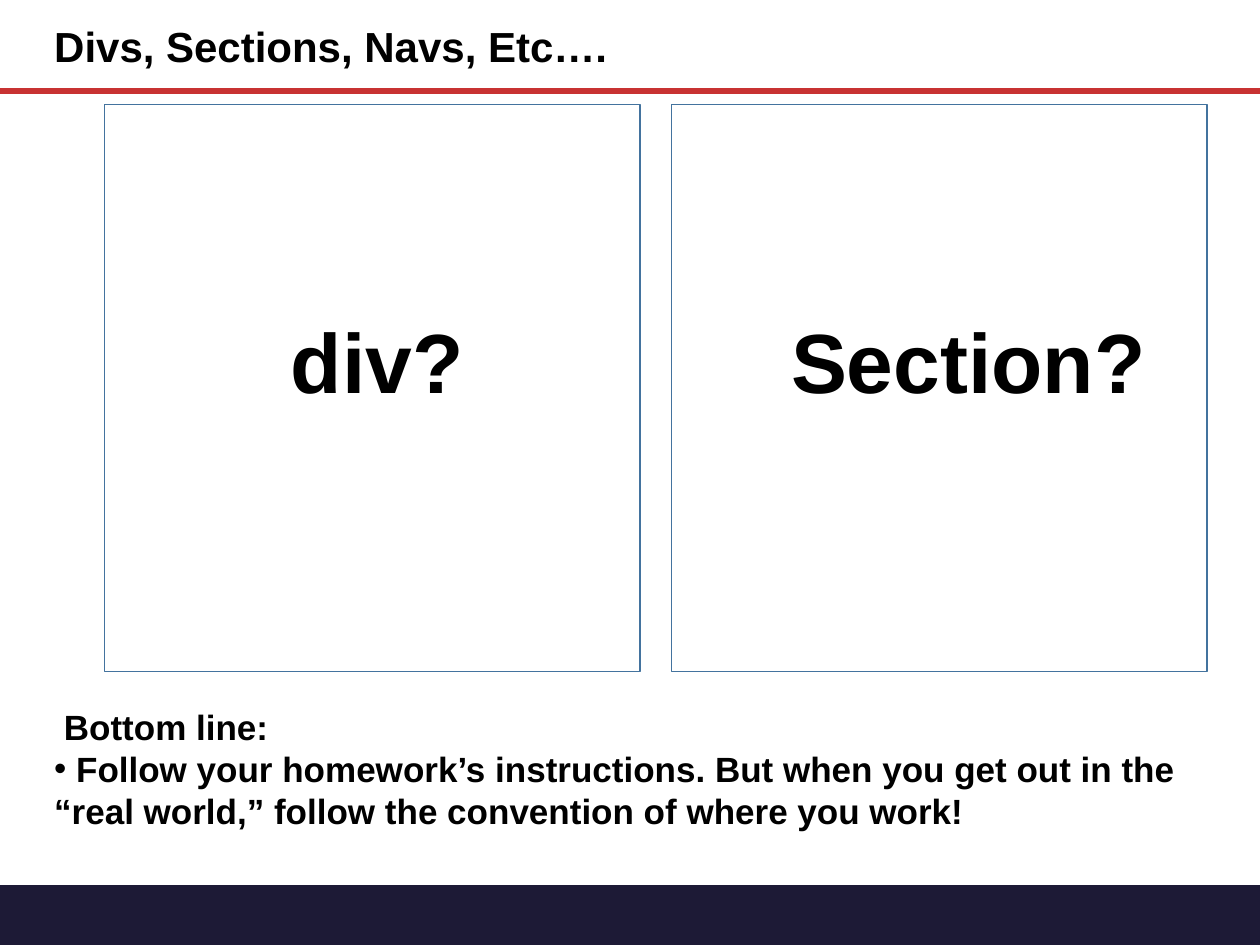
from lxml import etree
from pptx import Presentation
from pptx.dml.color import RGBColor
from pptx.enum.shapes import MSO_CONNECTOR, MSO_SHAPE
from pptx.enum.text import MSO_ANCHOR, MSO_AUTO_SIZE, PP_ALIGN
from pptx.oxml.ns import qn
from pptx.util import Inches, Pt

RECT, BAND = MSO_SHAPE.RECTANGLE, MSO_SHAPE.FLOWCHART_PROCESS
STRAIGHT = MSO_CONNECTOR.STRAIGHT
LEFT, TOP, FIXED = PP_ALIGN.LEFT, MSO_ANCHOR.TOP, MSO_AUTO_SIZE.NONE
WIDTH, HEIGHT = 10, 7.5
MARGIN = 0.33
NAVY, RED, BLUE, BLACK = "1D1A36", "C83232", "43739E", "000000"


def color(hex_value):
    return RGBColor.from_string(hex_value)


def place(part, box):
    for name, value in zip(("left", "top", "width", "height"), box):
        setattr(part, name, Inches(value))


def format_frame(frame, inset, wrap=True):
    settings = {"margin_left": Inches(0.1), "margin_right": Inches(0.1),
                "margin_top": Inches(inset), "margin_bottom": Inches(inset),
                "word_wrap": wrap, "auto_size": FIXED, "vertical_anchor": TOP}
    for name, value in settings.items():
        setattr(frame, name, value)


def write(paragraph, wording, size):
    paragraph.alignment = LEFT
    run = paragraph.add_run()
    run.text = wording
    for name, value in {"name": "Arial", "size": Pt(size), "bold": True}.items():
        setattr(run.font, name, value)
    run.font.color.rgb = color(BLACK)


def set_bullet(paragraph, char=None):
    properties = paragraph._p.get_or_add_pPr()
    properties.set("marL", "0")
    properties.set("indent", "0")
    if char:
        etree.SubElement(properties, qn("a:buChar")).set("char", char)
    else:
        etree.SubElement(properties, qn("a:buNone"))


def add_frame_lines(slide, rule_y, band_y):
    # Red rule under the title
    rule = slide.shapes.add_connector(
        STRAIGHT, 0, Inches(rule_y), Inches(WIDTH), Inches(rule_y))
    rule.line.color.rgb = color(RED)
    rule.line.width = Pt(3.25)
    etree.SubElement(rule._element.spPr, qn("a:effectLst"))
    # Footer band
    band = slide.shapes.add_shape(
        BAND, 0, Inches(band_y), Inches(WIDTH), Inches(HEIGHT - band_y))
    band.shadow.inherit = False
    band.fill.solid()
    band.fill.fore_color.rgb = color(NAVY)
    band.line.fill.background()


def add_title(slide, box, wording):
    title = slide.shapes.title
    place(title, box)
    format_frame(title.text_frame, 0.05)
    write(title.text_frame.paragraphs[0], wording, 24)


def add_summary(slide, box, lines):
    body = slide.placeholders[1]
    place(body, box)
    frame = body.text_frame
    format_frame(frame, 0.1)
    for index, (wording, bullet) in enumerate(lines):
        paragraph = frame.add_paragraph() if index else frame.paragraphs[0]
        write(paragraph, wording, 20)
        paragraph.space_before = Pt(0)
        paragraph.line_spacing = Pt(24)
        set_bullet(paragraph, bullet)


def add_panel(slide, box, wording, label_box):
    left, top, width, height = box
    panel = slide.shapes.add_shape(RECT, *map(Inches, box))
    panel.shadow.inherit = False
    panel.fill.background()
    panel.line.color.rgb = color(BLUE)
    panel.line.width = Pt(1)
    # Label, set in shares of the panel
    x, y, w, h = label_box
    label = slide.shapes.add_textbox(*map(Inches, (
        left + x * width, top + y * height, w * width, h * height)))
    format_frame(label.text_frame, 0.05, wrap=False)
    write(label.text_frame.paragraphs[0], wording, 48)


deck = Presentation()
deck.slide_width, deck.slide_height = Inches(WIDTH), Inches(HEIGHT)
slide = deck.slides.add_slide(deck.slide_layouts[1])

add_frame_lines(slide, 0.72, 7.02)
add_title(slide, (MARGIN, 0.11, 6.25, 0.5), "Divs, Sections, Navs, Etc….")
add_summary(slide, (MARGIN, 5.5, 9.55, 1.33), [
    (" Bottom line:", None),
    (" Follow your homework’s instructions. But when you get out in the "
     "“real world,” follow the convention of where you work!", "•"),
])

# Two equal panels, one step apart
panels = [("div?", (0.325, 0.35, 0.37, 0.2)),
          ("Section?", (0.2, 0.35, 0.71, 0.2))]
for column, (wording, label_box) in enumerate(panels):
    add_panel(slide, (0.83 + column * 4.5, 0.83, 4.25, 4.5), wording, label_box)

deck.save("out.pptx")
